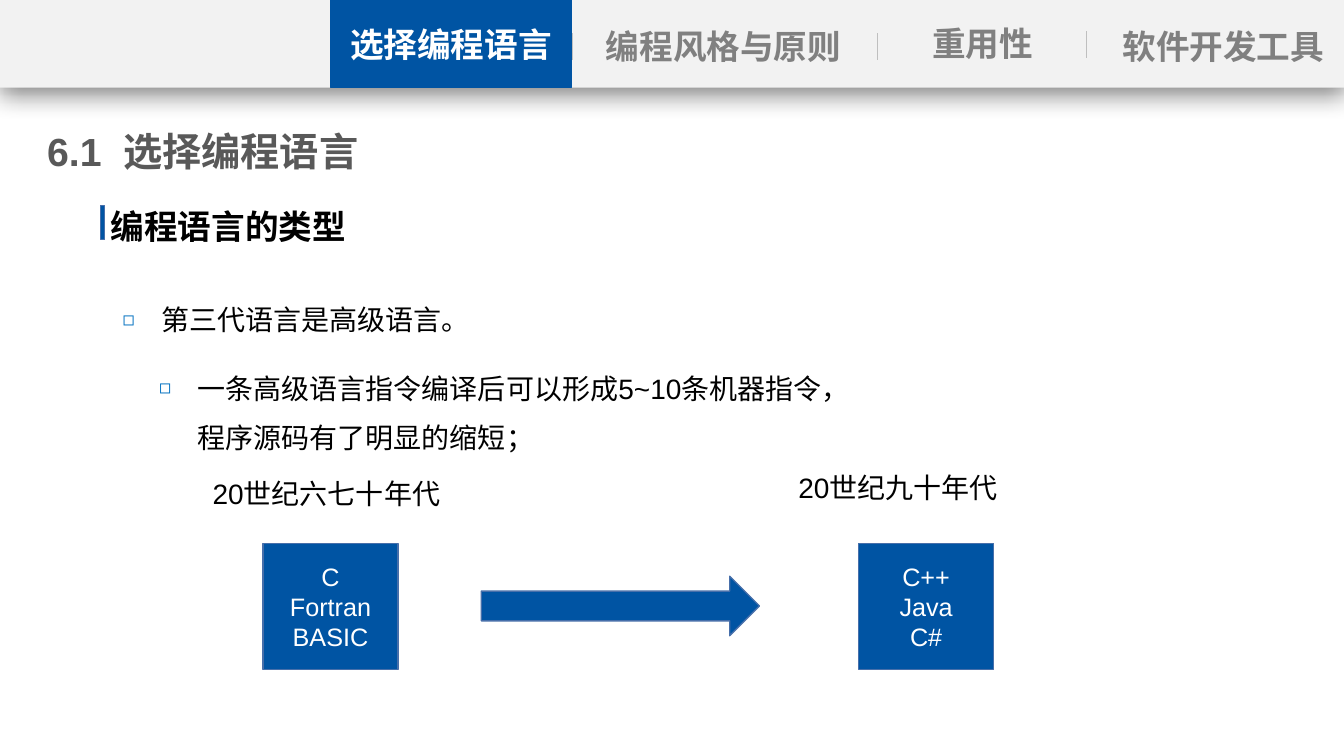
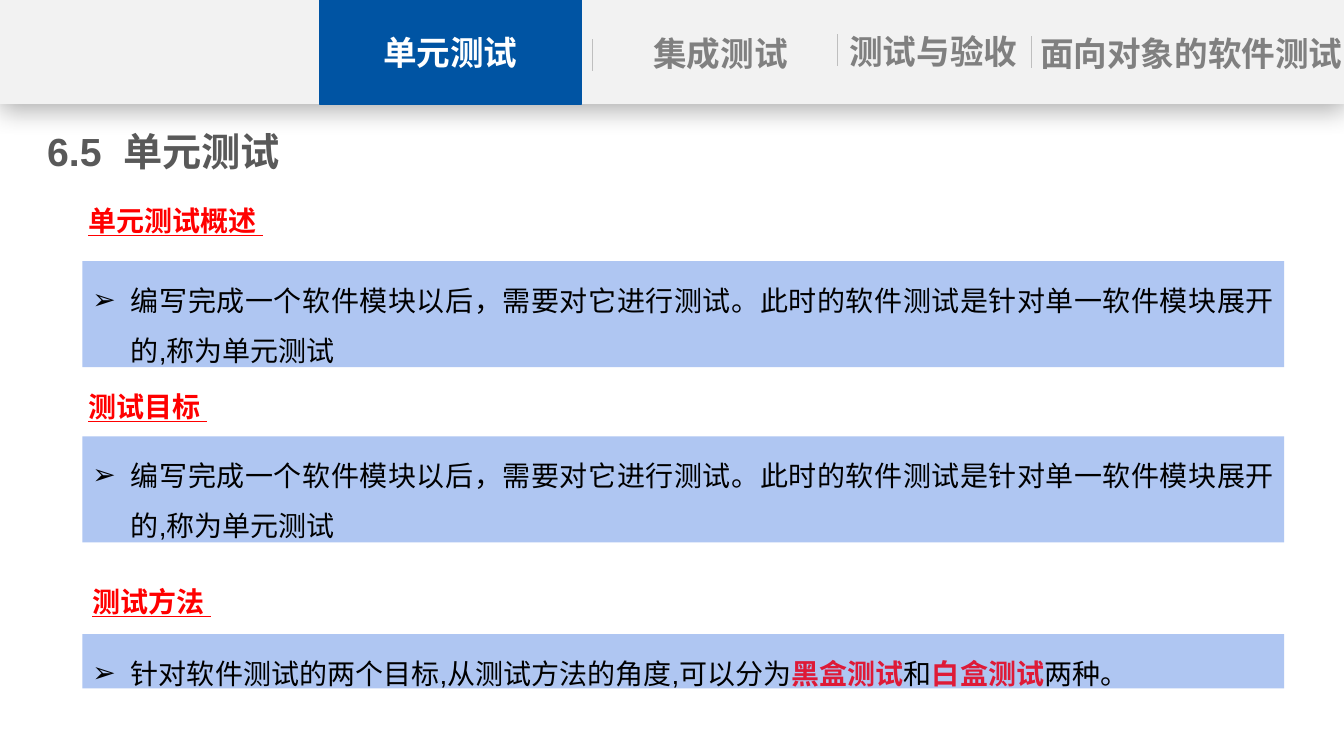
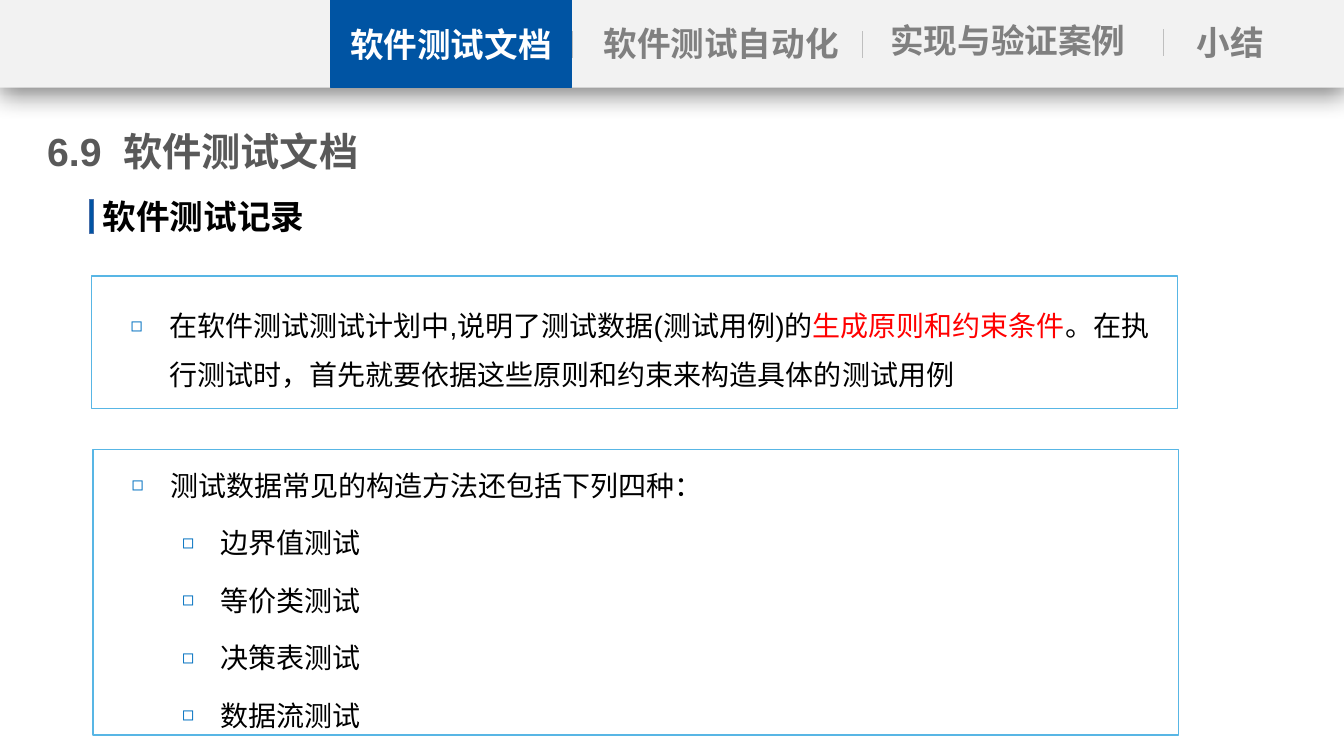
import pptx
import pptx.dml.color
import pptx.enum.shapes
import pptx.enum.text
import pptx.oxml.ns
import pptx.util
from lxml import etree

Cm = pptx.util.Cm
Pt = pptx.util.Pt
SHAPE = pptx.enum.shapes.MSO_SHAPE
ALIGN = pptx.enum.text.PP_ALIGN
ANCHOR = pptx.enum.text.MSO_ANCHOR

LATIN, CHINESE = "Arial", "Noto Sans CJK SC"
BLUE, BLUE_EDGE, SKY, PALE_BLUE = "0054A3", "476FAA", "58B6E5", "AFC6F2"
BAND, SEPARATOR, MUTED, TITLE = "F2F2F2", "BFBFBF", "808080", "595959"
BLACK, WHITE, RED, CRIMSON, BULLET = "000000", "FFFFFF", "FF0000", "DE1A37", "0070C0"

# Paragraph styles
PLAIN = {}
CENTRED = dict(align=ALIGN.CENTER)
LOOSE = dict(spacing=1.5)
SQUARE = dict(margin=1.7, hanging=0.97, spacing=Pt(35), before=6,
              bullet="◻", bullet_color=BULLET, bullet_size=70)
SUB_SQUARE = {**SQUARE, "margin": 2.82}
DEEP_SQUARE = {**SQUARE, "margin": 2.97}
PERIOD = dict(margin=0.74, spacing=Pt(35), before=6)
ARROW = dict(align=ALIGN.JUSTIFY, margin=0.97, hanging=0.97, spacing=1.5, bullet="➢")


def rgb(value):
    return pptx.dml.color.RGBColor.from_string(value)


def child(parent, tag, **attributes):
    element = etree.SubElement(parent, pptx.oxml.ns.qn(tag))
    for name, value in attributes.items():
        element.set(name, str(value))
    return element


class Lecture:
    """Holds the deck, its style and the current slide."""

    def __init__(self):
        self.deck = pptx.Presentation()
        self.deck.slide_width = Cm(33.87)
        self.deck.slide_height = Cm(19.05)
        self.slide = None

    def start(self, number, name):
        self.slide = self.deck.slides.add_slide(self.deck.slide_layouts[5])
        title = self.slide.shapes.title
        title.left, title.top, title.width, title.height = Cm(1.19), Cm(3.07), Cm(11.6), Cm(1.47)
        self.frame(title, ANCHOR.TOP, side=0)
        para = title.text_frame.paragraphs[0]
        para.alignment = ALIGN.LEFT
        for text in (number, " ", name):
            span = self.span(para, text, 28, TITLE, bold=True)
            if text == " ":
                span.font._element.set("spc", "780")

    def frame(self, shape, anchor, side=0.25):
        frame = shape.text_frame
        frame.word_wrap = True
        frame.auto_size = pptx.enum.text.MSO_AUTO_SIZE.NONE
        frame.vertical_anchor = anchor
        frame.margin_left = frame.margin_right = Cm(side)
        frame.margin_top = frame.margin_bottom = Cm(0.13)

    def span(self, para, text, size, color, bold=False, underline=False, font=LATIN):
        span = para.add_run()
        span.text = text
        span.font.name = font
        span.font.size = Pt(size)
        span.font.bold = bold
        span.font.underline = underline
        span.font.color.rgb = rgb(color)
        child(span.font._element, "a:ea", typeface=CHINESE)
        return span

    def style(self, para, align=ALIGN.LEFT, margin=0, hanging=0, spacing=None, before=0,
              bullet=None, bullet_color=BLACK, bullet_size=100):
        para.alignment = align
        para.space_before = Pt(before)
        if spacing:
            para.line_spacing = spacing
        properties = para._p.get_or_add_pPr()
        properties.set("marL", str(Cm(margin)))
        properties.set("indent", str(-Cm(hanging)))
        if bullet:
            child(child(properties, "a:buClr"), "a:srgbClr", val=bullet_color)
            child(properties, "a:buSzPct", val=bullet_size * 1000)
            child(properties, "a:buFont", typeface=LATIN)
            child(properties, "a:buChar", char=bullet)

    def fill_text(self, shape, lines, size, color, anchor=ANCHOR.TOP, side=0.25, **look):
        """Each line is (paragraph style, text or list of (text, own look))."""
        self.frame(shape, anchor, side)
        for index, (style, content) in enumerate(lines):
            frame = shape.text_frame
            para = frame.add_paragraph() if index else frame.paragraphs[0]
            self.style(para, **style)
            pieces = [(content, {})] if isinstance(content, str) else content
            for text, own in pieces:
                self.span(para, text, size, **{"color": color, **look, **own})

    def text(self, left, top, width, height, lines, size=20, color=BLACK, **look):
        box = self.slide.shapes.add_textbox(Cm(left), Cm(top), Cm(width), Cm(height))
        self.fill_text(box, lines, size, color, **look)

    def shape(self, left, top, width, height, fill=None, line=None, kind=SHAPE.RECTANGLE):
        shape = self.slide.shapes.add_shape(kind, Cm(left), Cm(top), Cm(width), Cm(height))
        shape.shadow.inherit = False
        if fill:
            shape.fill.solid()
            shape.fill.fore_color.rgb = rgb(fill)
        else:
            shape.fill.background()
        if line:
            shape.line.color.rgb = rgb(line)
            shape.line.width = Pt(1)
        else:
            shape.line.fill.background()
        return shape

    def separator(self, x, top, length):
        line = self.slide.shapes.add_connector(
            pptx.enum.shapes.MSO_CONNECTOR.STRAIGHT, Cm(x), Cm(top), Cm(x), Cm(top + length))
        line.line.color.rgb = rgb(SEPARATOR)
        line.line.width = Pt(0.5)
        child(line._element.spPr, "a:effectLst")

    def navigation(self, current, labels, separators, height=2.21, tab=(8.33, 6.07),
                   length=0.68, shade=50):
        """Band with the current tab, the other labels and their separators."""
        band = self.shape(0, 0, 33.87, height, BAND)
        effects = band._element.spPr.find(pptx.oxml.ns.qn("a:effectLst"))
        shadow = child(effects, "a:outerShdw", blurRad=Pt(18), dist=Pt(4),
                       dir=90 * 60000, algn="t", rotWithShape=0)
        child(child(shadow, "a:srgbClr", val=BLACK), "a:alpha", val=shade * 1000)
        left, width = tab
        button = self.shape(left, 0, width, height, BLUE, BLUE)
        self.fill_text(button, [(CENTRED, current)], 24, WHITE, ANCHOR.MIDDLE, bold=True)
        for x, top in separators:
            self.separator(x, top, length)
        for text, left, top, width in labels:
            self.text(left, top, width, 1.3, [(CENTRED, text)], 24, MUTED, side=0, bold=True)

    def heading(self, text, bar_left, bar_top, left, top):
        self.shape(bar_left, bar_top, 0.1, 0.86, BLUE, BLUE_EDGE)
        self.text(left, top, 14.07, 1.27, [(PLAIN, text)], 24, bold=True)

    def save(self):
        self.deck.save("out.pptx")


def language_slide(lecture):
    lecture.start("6.1", "选择编程语言")
    lecture.navigation(
        "选择编程语言",
        [("编程风格与原则", 15.21, 0.53, 6.05), ("重用性", 22.96, 0.46, 3.61),
         ("软件开发工具", 28.19, 0.53, 5.28)],
        [(14.43, 0.84), (22.1, 0.84), (27.38, 0.79)])
    lecture.heading("编程语言的类型", 2.54, 5.18, 2.54, 5.06)
    lecture.text(2.11, 7.11, 28.73, 1.37, [(SQUARE, "第三代语言是高级语言。")])
    lecture.text(1.91, 8.84, 19.81, 2.62, [
        (SUB_SQUARE, "一条高级语言指令编译后可以形成5~10条机器指令，程序源码有了明显的缩短；")])

    # Languages of the two periods, joined by an arrow
    periods = [
        ("20世纪六七十年代", 4.37, 11.48, 6.63, ("C", "Fortran", "BASIC")),
        ("20世纪九十年代", 19.13, 11.35, 21.64, ("C++", "Java", "C#")),
    ]
    for period, left, top, box_left, languages in periods:
        lecture.text(left, top, 8.41, 1.37, [(PERIOD, period)])
        box = lecture.shape(box_left, 13.69, 3.4, 3.18, BLUE, BLUE_EDGE)
        lecture.fill_text(box, [(CENTRED, name) for name in languages], 18, WHITE, ANCHOR.MIDDLE)
    lecture.shape(12.13, 14.52, 7.01, 1.5, BLUE, BLUE_EDGE, SHAPE.RIGHT_ARROW)


def unit_test_slide(lecture):
    lecture.start("6.5", "单元测试")
    lecture.navigation(
        "单元测试",
        [("集成测试", 15.19, 0.69, 5.94), ("测试与验收", 20.88, 0.64, 5.28),
         ("面向对象的软件测试", 26.09, 0.69, 7.87)],
        [(14.94, 0.99), (21.11, 0.86), (25.98, 0.91)],
        height=2.62, tab=(8.05, 6.6), length=0.81, shade=29)

    # Underlined headings, each above a shaded panel
    overview = "编写完成一个软件模块以后，需要对它进行测试。此时的软件测试是针对单一软件模块展开的,称为单元测试"
    strong = dict(color=CRIMSON, bold=True, font=CHINESE)
    methods = [("针对软件测试的两个目标,从测试方法的角度,可以分为", {}), ("黑盒测试", strong),
               ("和", {}), ("白盒测试", strong), ("两种。", {})]
    sections = [
        ("单元测试概述 ", 1.98, 4.57, 6.58, 2.67, overview),
        ("测试目标 ", 1.98, 9.25, 11.0, 2.67, overview),
        ("测试方法 ", 2.08, 14.17, 15.98, 1.37, methods),
    ]
    for heading, left, top, panel_top, panel_height, content in sections:
        panel = lecture.shape(2.08, panel_top, 30.28, panel_height, PALE_BLUE)
        lecture.fill_text(panel, [(ARROW, content)], 20, BLACK)
        lecture.text(left, top, 17.55, 1.4, [(LOOSE, heading)], color=RED,
                     bold=True, underline=True)


def test_document_slide(lecture):
    lecture.start("6.9", "软件测试文档")
    lecture.navigation(
        "软件测试文档",
        [("软件测试自动化", 15.14, 0.46, 6.07), ("实现与验证案例", 22.15, 0.36, 6.5),
         ("小结", 28.96, 0.41, 4.09)],
        [(14.43, 0.79), (21.72, 0.79), (29.31, 0.74)])
    lecture.heading("软件测试记录", 2.26, 5.03, 2.34, 4.8)

    # Outlined panels
    principle = [("在软件测试测试计划中,说明了测试数据(测试用例)的", {}),
                 ("生成原则和约束条件", dict(color=RED)),
                 ("。在执行测试时，首先就要依据这些原则和约束来构造具体的测试用例", {})]
    methods = ("边界值测试", "等价类测试", "决策表测试", "数据流测试")
    panels = [
        (2.31, 6.96, 3.33, [(SQUARE, principle)]),
        (2.34, 11.33, 7.19, [(SQUARE, "测试数据常见的构造方法还包括下列四种：")]
         + [(DEEP_SQUARE, method) for method in methods]),
    ]
    for left, top, height, lines in panels:
        panel = lecture.shape(left, top, 27.36, height, line=SKY)
        lecture.fill_text(panel, lines, 20, BLACK, ANCHOR.MIDDLE)


def main():
    lecture = Lecture()
    language_slide(lecture)
    unit_test_slide(lecture)
    test_document_slide(lecture)
    lecture.save()


if __name__ == "__main__":
    main()
